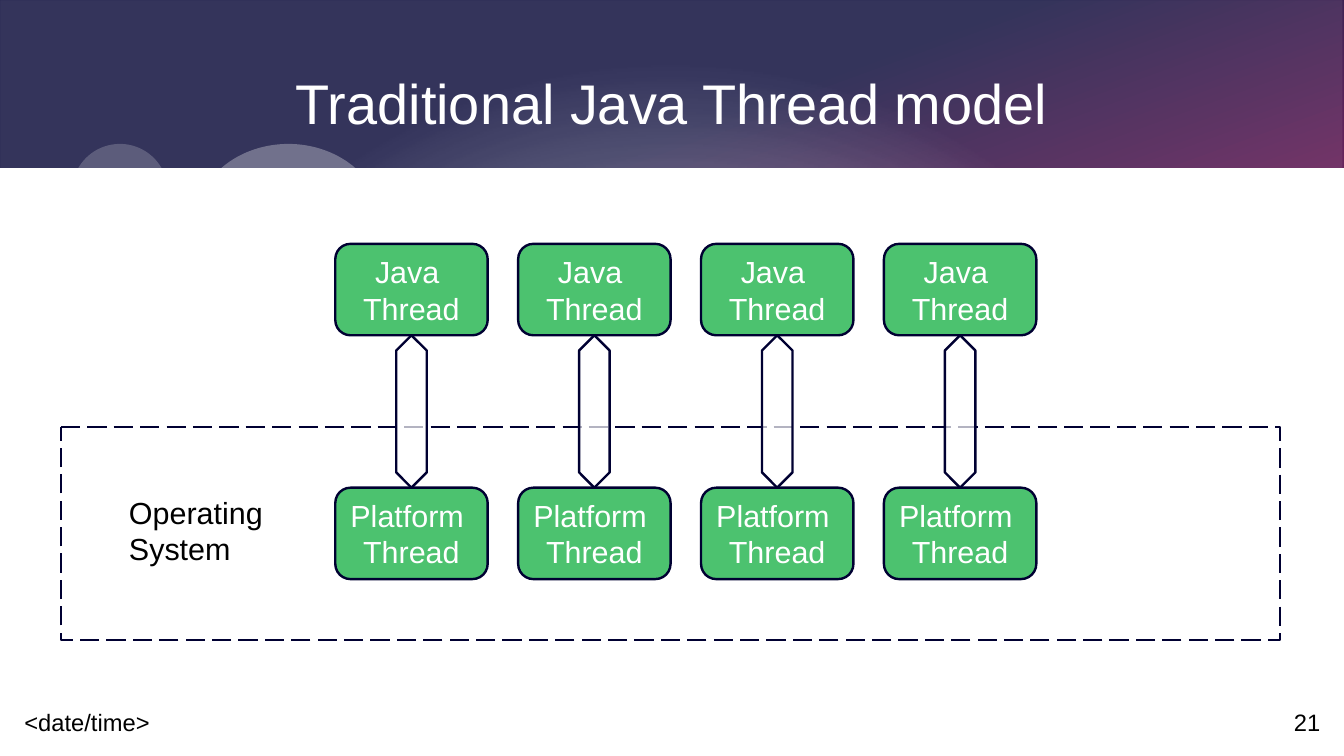
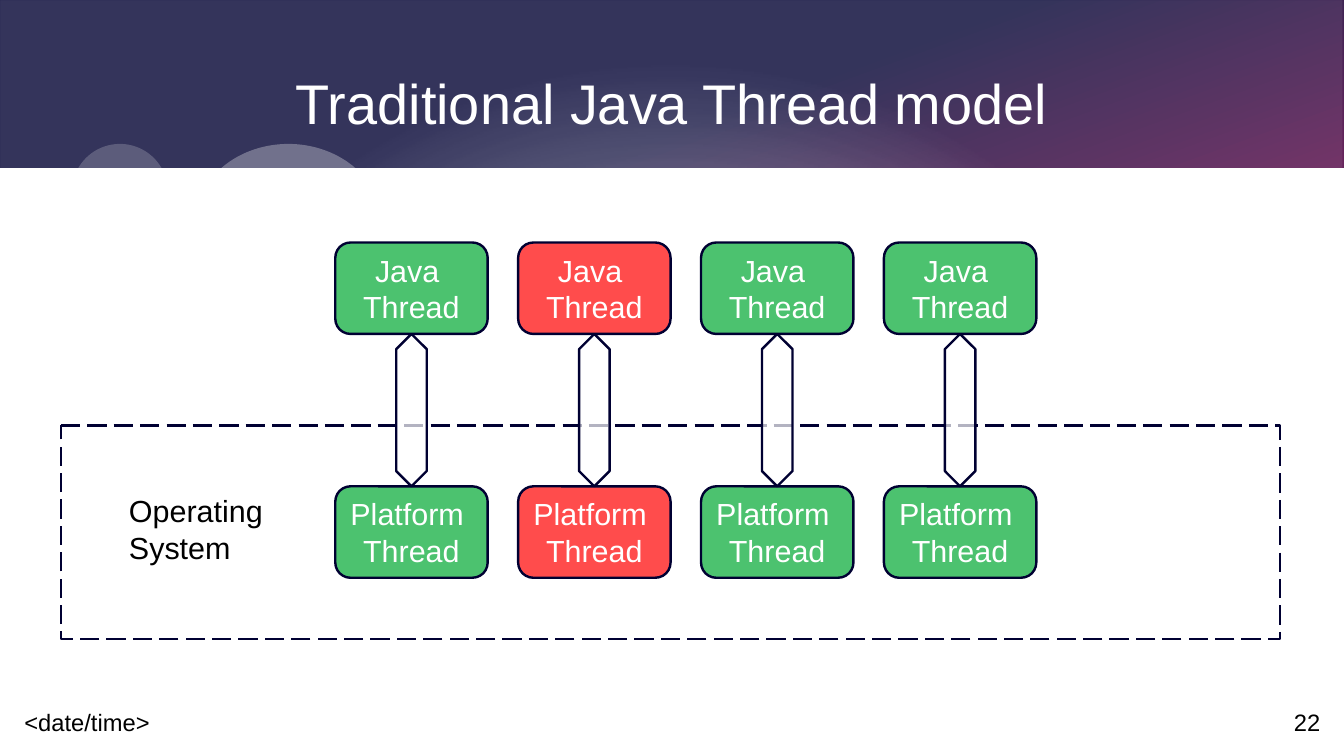
from pptx import Presentation
from pptx import util as u
from pptx.dml import color
from pptx.enum import dml, shapes, text
from pptx.oxml import parse_xml
from pptx.oxml.ns import nsdecls, qn

WIDTH, HEIGHT, BAND = 793.7, 446.46, 99.2
NAVY, PINK, GREEN, RED = "000032", "F60063", "00A933", "FF0000"
WHITE, BLACK = "FFFFFF", "000000"
KIND = shapes.MSO_SHAPE
LEFT, CENTER, RIGHT = text.PP_ALIGN.LEFT, text.PP_ALIGN.CENTER, text.PP_ALIGN.RIGHT
TOP, MIDDLE, BOTTOM = text.MSO_ANCHOR.TOP, text.MSO_ANCHOR.MIDDLE, text.MSO_ANCHOR.BOTTOM


def rgb(value):
    return color.RGBColor.from_string(value)


def set_alpha(sp, *percents):
    """Give each fill colour of the shape its opacity, in order."""
    for clr, pct in zip(sp.element.spPr.iter(qn("a:srgbClr")), percents):
        clr.append(parse_xml(f'<a:alpha {nsdecls("a")} val="{pct * 1000}"/>'))


class Deck:
    font = "Arial"
    line_width = 1.42

    def __init__(self):
        self.prs = Presentation()
        self.prs.slide_width, self.prs.slide_height = u.Pt(WIDTH), u.Pt(HEIGHT)
        self.slide = None

    # Slide with the shared background, title and footer
    def new_slide(self, title, number):
        self.slide = self.prs.slides.add_slide(self.prs.slide_layouts[6])
        self.background()
        self.label([title], 42.5, 21.6, 708.5, 77.8, 33, WHITE, CENTER, MIDDLE)
        self.label(["<date/time>"], 14.4, 404, 184.3, 31, 14, anchor=BOTTOM)
        self.label([str(number)], 595.4, 404, 184.3, 31, 14, align=RIGHT, anchor=BOTTOM)

    def background(self):
        base = self.shape(KIND.RECTANGLE, 0, 0, WIDTH, HEIGHT)
        self.gradient(base, (0.3, NAVY), (1, PINK))
        base.fill.gradient_angle = 290

        glow = self.shape(KIND.RECTANGLE, 0, 0, WIDTH, HEIGHT)
        self.gradient(glow, (0, WHITE), (0.75, WHITE))
        set_alpha(glow, 90, 20)
        lin = glow.element.spPr.find(".//" + qn("a:lin"))
        lin.getparent().replace(lin, parse_xml(
            f'<a:path {nsdecls("a")} path="circle">'
            '<a:fillToRect l="50000" t="85000" r="50000" b="15000"/></a:path>'))

        self.shape(KIND.RECTANGLE, 0, BAND, WIDTH, HEIGHT - BAND, WHITE)
        self.shape(KIND.OVAL, 113.8, 85, 113, 99.2, WHITE, 30)
        self.shape(KIND.OVAL, 42.5, 85, 56.7, 56.7, WHITE, 20)

    def gradient(self, sp, *stops):
        sp.fill.gradient()
        for stop, (position, value) in zip(sp.fill.gradient_stops, stops):
            stop.position = position
            stop.color.rgb = rgb(value)

    # Preset shape
    def shape(self, kind, x, y, w, h, fill=None, alpha=100, line=None):
        sp = self.slide.shapes.add_shape(kind, u.Pt(x), u.Pt(y), u.Pt(w), u.Pt(h))
        sp.shadow.inherit = False
        if fill:
            sp.fill.solid()
            sp.fill.fore_color.rgb = rgb(fill)
            if alpha < 100:
                set_alpha(sp, alpha)
        else:
            sp.fill.background()
        if line:
            sp.line.color.rgb = rgb(line)
            sp.line.width = u.Pt(self.line_width)
        else:
            sp.line.fill.background()
        return sp

    # Text
    def set_text(self, sp, lines, size, value, align, anchor, wrap=True, inset=(0, 0)):
        tf = sp.text_frame
        tf.word_wrap, tf.vertical_anchor = wrap, anchor
        tf.margin_left = tf.margin_right = u.Pt(inset[0])
        tf.margin_top = tf.margin_bottom = u.Pt(inset[1])
        for i, line in enumerate(lines):
            p = tf.add_paragraph() if i else tf.paragraphs[0]
            p.text, p.alignment = line, align
            p.font.name, p.font.size = self.font, u.Pt(size)
            p.font.color.rgb = rgb(value)

    def label(self, lines, x, y, w, h, size, value=BLACK, align=LEFT, anchor=TOP, **layout):
        sp = self.slide.shapes.add_textbox(u.Pt(x), u.Pt(y), u.Pt(w), u.Pt(h))
        self.set_text(sp, lines, size, value, align, anchor, **layout)

    # Diagram parts
    def thread_box(self, kind, x, y, fill):
        sp = self.shape(KIND.FLOWCHART_ALTERNATE_PROCESS, x, y, 90, 54, fill, 70, NAVY)
        self.set_text(sp, [kind + " ", "Thread"], 18, WHITE, CENTER, MIDDLE, False, (7.2, 3.6))

    def system_frame(self, y):
        sp = self.shape(KIND.FLOWCHART_PROCESS, 36, y, 720, 126, line=NAVY)
        sp.line.dash_style = dml.MSO_LINE.LONG_DASH
        self.label(["Operating", "System"], 69.1, y + 36, 93.6, 47.5, 18,
                   wrap=False, inset=(7.2, 3.6))

    def arrow(self, x, y):
        sp = self.shape(KIND.UP_DOWN_ARROW, x, y, 18, 90, WHITE, 70, NAVY)
        sp.adjustments[0], sp.adjustments[1] = 0.5, 1

    def thread_model(self, top, fills):
        columns = [198 + 108 * i for i in range(len(fills))]
        for x, fill in zip(columns, fills):
            self.thread_box("Java", x, top, fill)
            self.thread_box("Platform", x, top + 144, fill)
        self.system_frame(top + 108)
        for x in columns:
            self.arrow(x + 36, top + 54)


def main():
    deck = Deck()
    models = [(144, [GREEN] * 4), (143.2, [GREEN, RED, GREEN, GREEN])]
    for number, (top, fills) in enumerate(models, start=21):
        deck.new_slide("Traditional Java Thread model", number)
        deck.thread_model(top, fills)
    deck.prs.save("out.pptx")


if __name__ == "__main__":
    main()
